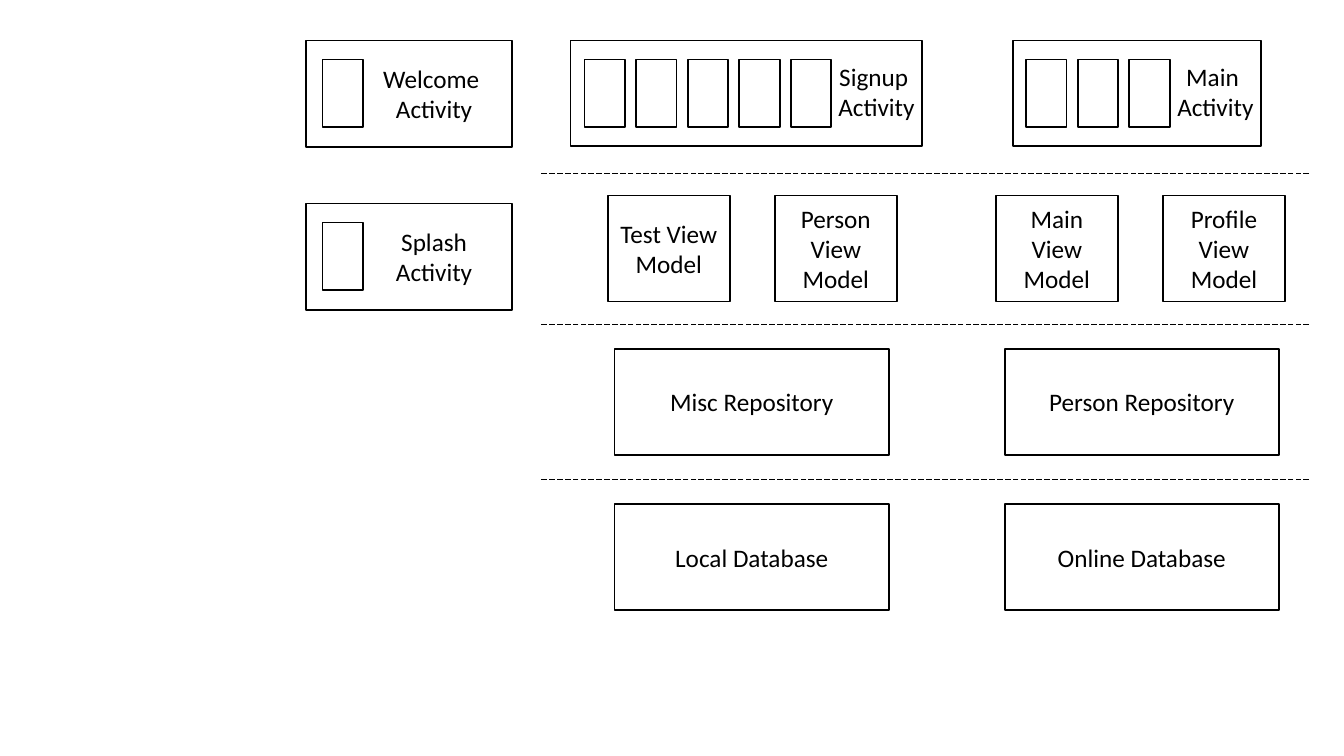
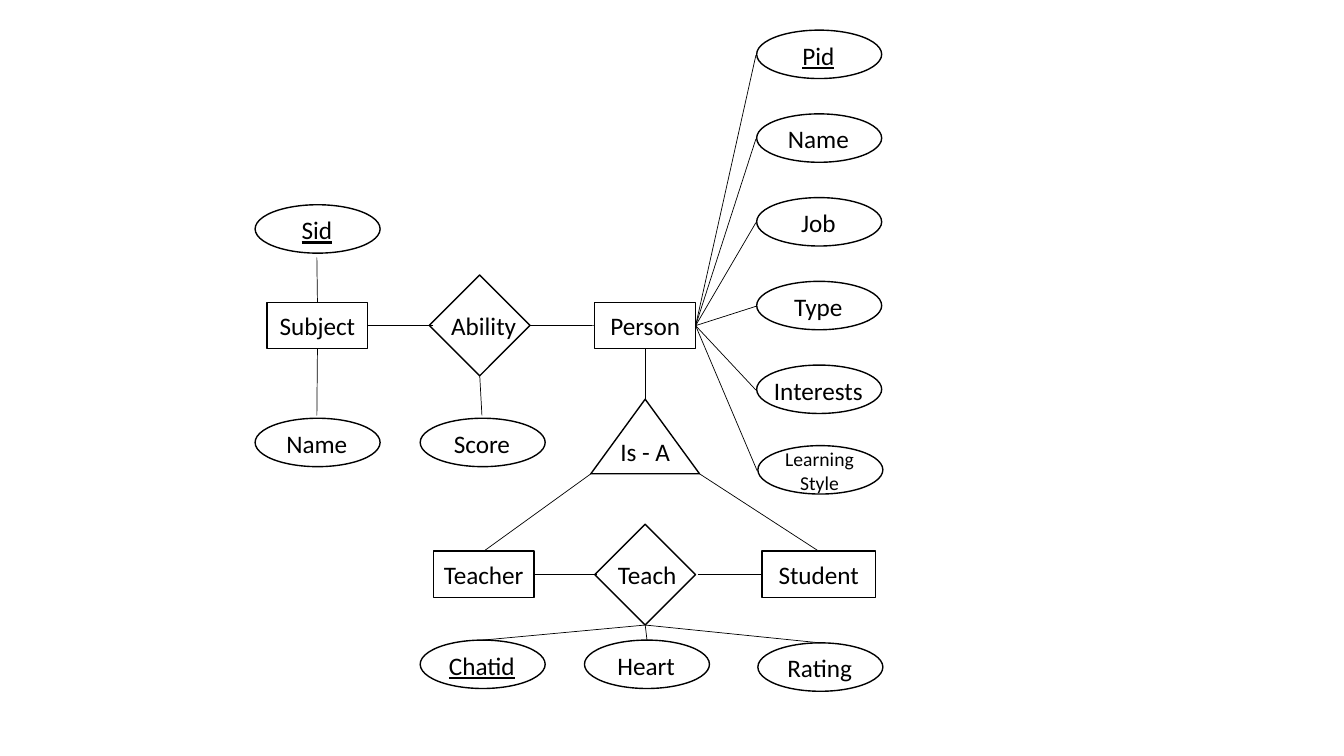
from dataclasses import dataclass

from lxml import etree
from pptx import Presentation
from pptx.dml.color import RGBColor
from pptx.enum.dml import MSO_LINE
from pptx.enum.shapes import MSO_CONNECTOR, MSO_SHAPE
from pptx.enum.text import MSO_ANCHOR, PP_ALIGN
from pptx.oxml.ns import qn
from pptx.util import Cm, Pt

RECTANGLE = MSO_SHAPE.RECTANGLE
DIAMOND = MSO_SHAPE.DIAMOND
ELLIPSE = MSO_SHAPE.OVAL
TRIANGLE = MSO_SHAPE.ISOSCELES_TRIANGLE
STRAIGHT = MSO_CONNECTOR.STRAIGHT
LONG_DASH = MSO_LINE.LONG_DASH
MIDDLE = MSO_ANCHOR.MIDDLE
CENTER = PP_ALIGN.CENTER
TOP, LEFT, BOTTOM, RIGHT = range(4)


@dataclass(frozen=True)
class Theme:
    ink: RGBColor = RGBColor(0, 0, 0)
    font: str = "Calibri"
    text_size: float = 18
    small_size: float = 14
    block_line: float = 1.25
    entity_line: float = 1
    thin_line: float = 0.5


THEME = Theme()
ENTITY_SIZE = (2.54, 1.17)
BLOCK_HEIGHT = 2.67


def write_text(shape, text, size=THEME.text_size, underline=False):
    frame = shape.text_frame
    frame.text = text
    frame.word_wrap = True
    frame.vertical_anchor = MIDDLE
    for paragraph in frame.paragraphs:
        paragraph.alignment = CENTER
        for run in paragraph.runs:
            font = run.font
            font.name = THEME.font
            font.size = Pt(size)
            font.color.rgb = THEME.ink
            if underline:
                font.underline = True


def outline(shapes, kind, box, width=THEME.entity_line):
    """Add an unfilled shape; box is left, top, width, height in cm."""
    shape = shapes.add_shape(kind, *map(Cm, box))
    shape.shadow.inherit = False
    shape.fill.background()
    shape.line.color.rgb = THEME.ink
    shape.line.width = Pt(width)
    return shape


def text_block(shapes, text, box, width=THEME.entity_line):
    block = outline(shapes, RECTANGLE, box, width)
    write_text(block, text)
    return block


def label(shapes, text, box, **text_format):
    caption = shapes.add_textbox(*map(Cm, box))
    write_text(caption, text, **text_format)
    return caption


def line(shapes, start=(0, 0), end=(0, 0), dash=None):
    connector = shapes.add_connector(STRAIGHT, *map(Cm, (*start, *end)))
    connector.line.color.rgb = THEME.ink
    connector.line.width = Pt(THEME.thin_line)
    if dash is not None:
        connector.line.dash_style = dash
    properties = connector._element.find(qn("p:spPr"))
    etree.SubElement(properties, qn("a:effectLst"))
    return connector


def join(shapes, start, start_side, end, end_side):
    connector = line(shapes)
    connector.begin_connect(start, start_side)
    connector.end_connect(end, end_side)


def activity(slide, text, frame, first_slot, slots, label_box):
    """Add a framed activity with a row of screens; first_slot is left, top."""
    shapes = slide.shapes.add_group_shape().shapes
    outline(shapes, RECTANGLE, frame, THEME.block_line)
    left, top = first_slot
    for i in range(slots):
        slot = (left + i * 1.3, top, 1.02, 1.7)
        outline(shapes, RECTANGLE, slot, THEME.block_line)
    label(shapes, text, label_box)


def symbol(slide, kind, text, box, label_box, **text_format):
    """Group an outline with its caption and return both."""
    shapes = slide.shapes.add_group_shape().shapes
    figure = outline(shapes, kind, box)
    return figure, label(shapes, text, label_box, **text_format)


def attribute(slide, text, left, top, **text_format):
    return symbol(slide, ELLIPSE, text, (left, top, 3.15, 1.22),
                  (left - 0.02, top - 0.07, 3.15, 1.4), **text_format)


def build_architecture(slide):
    shapes = slide.shapes
    for text, top in (("Welcome \nActivity", 1.02), ("Splash\nActivity", 5.13)):
        slot_top = top + 0.48
        activity(slide, text, (7.72, top, 5.18, 2.69), (8.13, slot_top), 1,
                 (9.02, slot_top, 3.84, 1.7))
    activity(slide, "Signup \nActivity", (14.38, 1.02, 8.86, BLOCK_HEIGHT),
             (14.73, 1.5), 5, (20.17, 1.45, 3.84, 1.7))
    activity(slide, "Main \nActivity", (25.53, 1.02, 6.25, BLOCK_HEIGHT),
             (25.86, 1.5), 3, (29.36, 1.45, 2.54, 1.7))

    view_models = (("Test View Model", 15.32), ("Person View\nModel", 19.53),
                   ("Main View Model", 25.1), ("Profile View Model", 29.31))
    for text, left in view_models:
        text_block(shapes, text, (left, 4.93, 3.07, BLOCK_HEIGHT),
                   THEME.block_line)

    storage_layers = ((8.79, ("Misc Repository", "Person Repository")),
                      (12.7, ("Local Database", "Online Database")))
    for top, names in storage_layers:
        for text, left in zip(names, (15.49, 25.32)):
            text_block(shapes, text, (left, top, 6.91, BLOCK_HEIGHT),
                       THEME.block_line)

    for y in (4.37, 8.18, 12.09):
        line(shapes, (32.99, y), (13.59, y), LONG_DASH)


def build_entity_diagram(slide):
    shapes = slide.shapes
    person = text_block(shapes, "Person", (14.99, 7.62, *ENTITY_SIZE))
    subject = text_block(shapes, "Subject", (6.73, 7.62, *ENTITY_SIZE))
    teacher = text_block(shapes, "Teacher", (10.92, 13.89, *ENTITY_SIZE))
    student = text_block(shapes, "Student", (19.2, 13.89, 2.87, 1.17))

    ability, ability_label = symbol(
        slide, DIAMOND, "Ability", (10.82, 6.93, 2.54, 2.54),
        (10.92, 7.62, *ENTITY_SIZE))
    teach, teach_label = symbol(
        slide, DIAMOND, "Teach", (14.99, 13.21, 2.54, 2.54),
        (15.04, 13.89, *ENTITY_SIZE))
    is_a, _ = symbol(
        slide, TRIANGLE, "Is - A", (14.89, 10.06, 2.74, 1.88),
        (14.99, 10.8, *ENTITY_SIZE))

    join(shapes, person, LEFT, ability, RIGHT)
    join(shapes, ability_label, LEFT, subject, RIGHT)
    join(shapes, person, BOTTOM, is_a, TOP)
    join(shapes, teacher, RIGHT, teach_label, LEFT)
    join(shapes, teach_label, RIGHT, student, LEFT)
    for corner_x, role in ((14.89, teacher), (17.63, student)):
        line(shapes, (corner_x, 11.94)).end_connect(role, TOP)

    _, subject_id = attribute(slide, "Sid", 6.43, 5.16, underline=True)
    _, subject_name = attribute(slide, "Name", 6.43, 10.54)
    _, score = attribute(slide, "Score", 10.59, 10.54)
    join(shapes, subject, TOP, subject_id, BOTTOM)
    join(shapes, subject, BOTTOM, subject_name, TOP)
    join(shapes, ability, BOTTOM, score, TOP)

    teach_attributes = (("Chatid", 10.59, 16.13, True),
                        ("Heart", 14.73, 16.13, False),
                        ("Rating", 19.1, 16.2, False))
    for text, left, top, is_key in teach_attributes:
        ellipse, _ = attribute(slide, text, left, top, underline=is_key)
        join(shapes, teach, BOTTOM, ellipse, TOP)

    person_attributes = [
        attribute(slide, text, 19.07, 0.76 + i * 2.11, underline=text == "Pid")
        for i, text in enumerate(("Pid", "Name", "Job", "Type", "Interests"))]
    person_attributes.append(attribute(slide, "Learning Style", 19.1, 11.23,
                                       size=THEME.small_size))
    for _, caption in person_attributes:
        join(shapes, person, RIGHT, caption, LEFT)


def main():
    presentation = Presentation()
    presentation.slide_width = Cm(33.87)
    presentation.slide_height = Cm(19.05)
    blank = presentation.slide_layouts[6]
    for build in (build_architecture, build_entity_diagram):
        build(presentation.slides.add_slide(blank))
    presentation.save("out.pptx")


if __name__ == "__main__":
    main()
